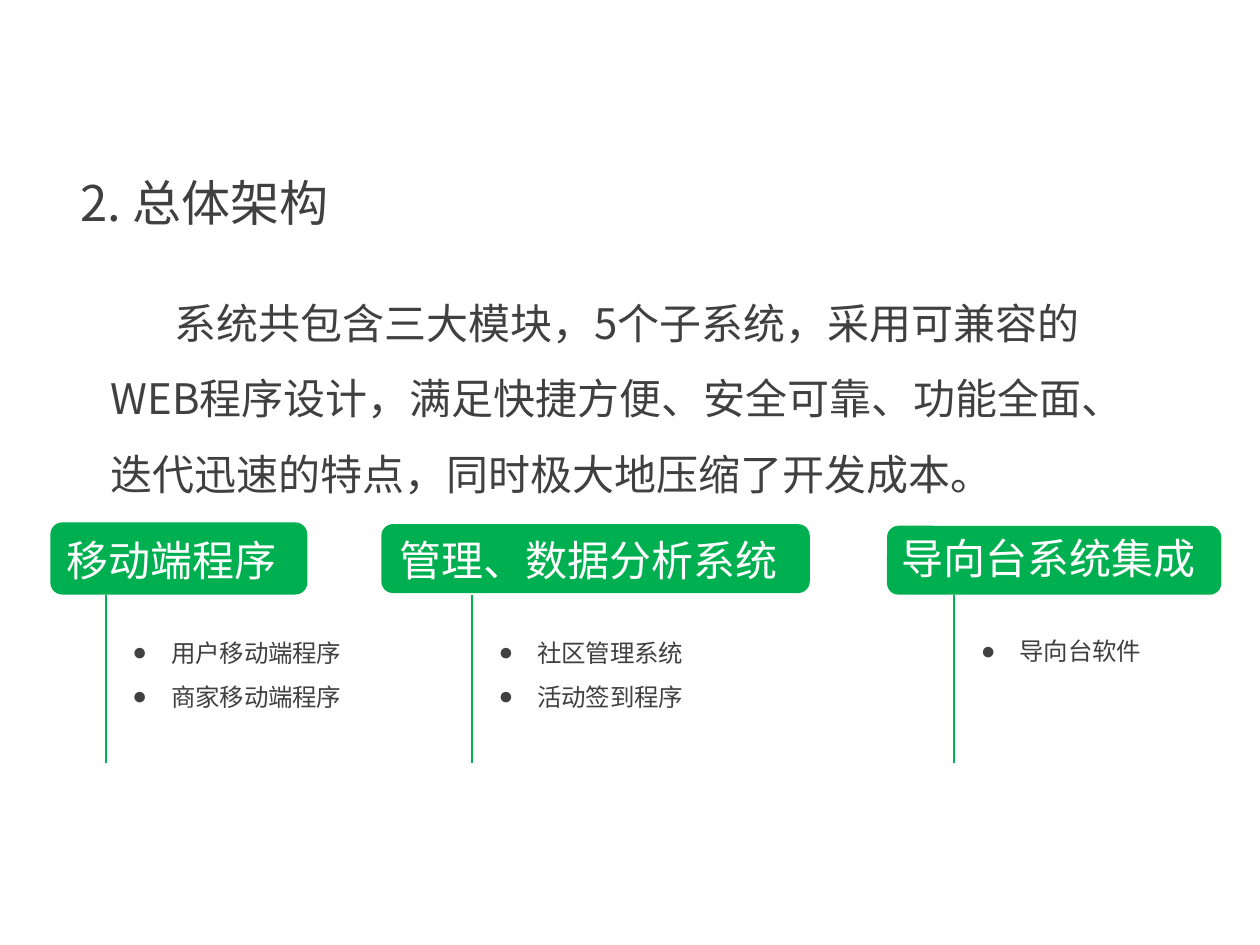
from pptx import Presentation
from pptx import util as u
from pptx.dml.color import RGBColor
from pptx.enum import shapes, text
from pptx.oxml.ns import qn
from lxml import etree

GREEN = RGBColor(0x00, 0xB0, 0x50)
GREY = RGBColor(0x40, 0x40, 0x40)
WHITE = RGBColor(0xFF, 0xFF, 0xFF)
FONT = "Noto Sans CJK SC"
BULLET_FONT = "Arial"

# Header box, label box, list top, stem x, label, list items
MODULES = [
    ((0.3, 3.11, 1.53, 0.43), (0.3, 3.13, 1.97, 0.4), 3.66, 0.63,
     "移动端程序", ["用户移动端程序", "商家移动端程序"]),
    ((2.27, 3.12, 2.55, 0.41), (2.28, 3.13, 2.8, 0.4), 3.66, 2.81,
     "管理、数据分析系统", ["社区管理系统", "活动签到程序"]),
    ((5.28, 3.13, 1.99, 0.41), (5.27, 3.12, 1.96, 0.4), 3.65, 5.68,
     "导向台系统集成", ["导向台软件"]),
]
STEM_TOP, STEM_BOTTOM = 3.54, 4.54


def inches(*lengths):
    return [u.Inches(v) for v in lengths]


def add_text(s, box, lines, size, color, spacing=None, indent=None, bullet=None):
    tf = s.shapes.add_textbox(*inches(*box)).text_frame
    tf.word_wrap = True
    tf.auto_size = text.MSO_AUTO_SIZE.SHAPE_TO_FIT_TEXT
    for i, line in enumerate(lines):
        p = tf.paragraphs[0] if i == 0 else tf.add_paragraph()
        if spacing:
            p.line_spacing = spacing
        pPr = p._p.get_or_add_pPr()
        pPr.set("hangingPunct", "0")
        if indent:
            left, first = inches(*indent)
            pPr.set("marL", str(left))
            pPr.set("indent", str(first))
        if bullet:
            etree.SubElement(pPr, qn("a:buFont")).set("typeface", BULLET_FONT)
            etree.SubElement(pPr, qn("a:buChar")).set("char", bullet)
        r = p.add_run()
        r.text = line
        r.font.size = u.Pt(size)
        r.font.name = FONT
        r.font.color.rgb = color
        etree.SubElement(r._r.get_or_add_rPr(), qn("a:ea")).set("typeface", FONT)


def add_module(s, header, label_box, list_top, stem_x, label, items):
    # Green header with its label
    sp = s.shapes.add_shape(shapes.MSO_SHAPE.ROUNDED_RECTANGLE, *inches(*header))
    sp.shadow.inherit = False
    sp.fill.solid()
    sp.fill.fore_color.rgb = GREEN
    sp.line.fill.background()
    add_text(s, label_box, [label], 18, WHITE)

    # Stem and list of subsystems
    stem = s.shapes.add_connector(
        shapes.MSO_CONNECTOR.STRAIGHT,
        *inches(stem_x, STEM_TOP, stem_x, STEM_BOTTOM))
    stem.line.color.rgb = GREEN
    stem.line.width = u.Pt(0.75)
    etree.SubElement(stem._element.spPr, qn("a:effectLst"))
    add_text(s, (stem_x + 0.06, list_top, 1.48, 0.1 + 0.27 * len(items)), items,
             10.5, GREY, spacing=1.5, indent=(0.23, -0.23), bullet="●")


def add_intro(s):
    add_text(s, (0.38, 0.98, 2.07, 0.45), ["2. 总体架构"], 21, GREY)
    add_text(s, (0.56, 1.57, 6.26, 1.46),
             ["系统共包含三大模块，5个子系统，采用可兼容的WEB程序设计，"
              "满足快捷方便、安全可靠、功能全面、迭代迅速的特点，"
              "同时极大地压缩了开发成本。"],
             18, GREY, spacing=1.5, indent=(0, 0.38))


def main():
    prs = Presentation()
    # A 4:3 slide
    prs.slide_width = u.Inches(7.5)
    prs.slide_height = prs.slide_width * 3 // 4
    s = prs.slides.add_slide(prs.slide_layouts[6])
    add_intro(s)
    for module in MODULES:
        add_module(s, *module)
    prs.save("out.pptx")


if __name__ == "__main__":
    main()
